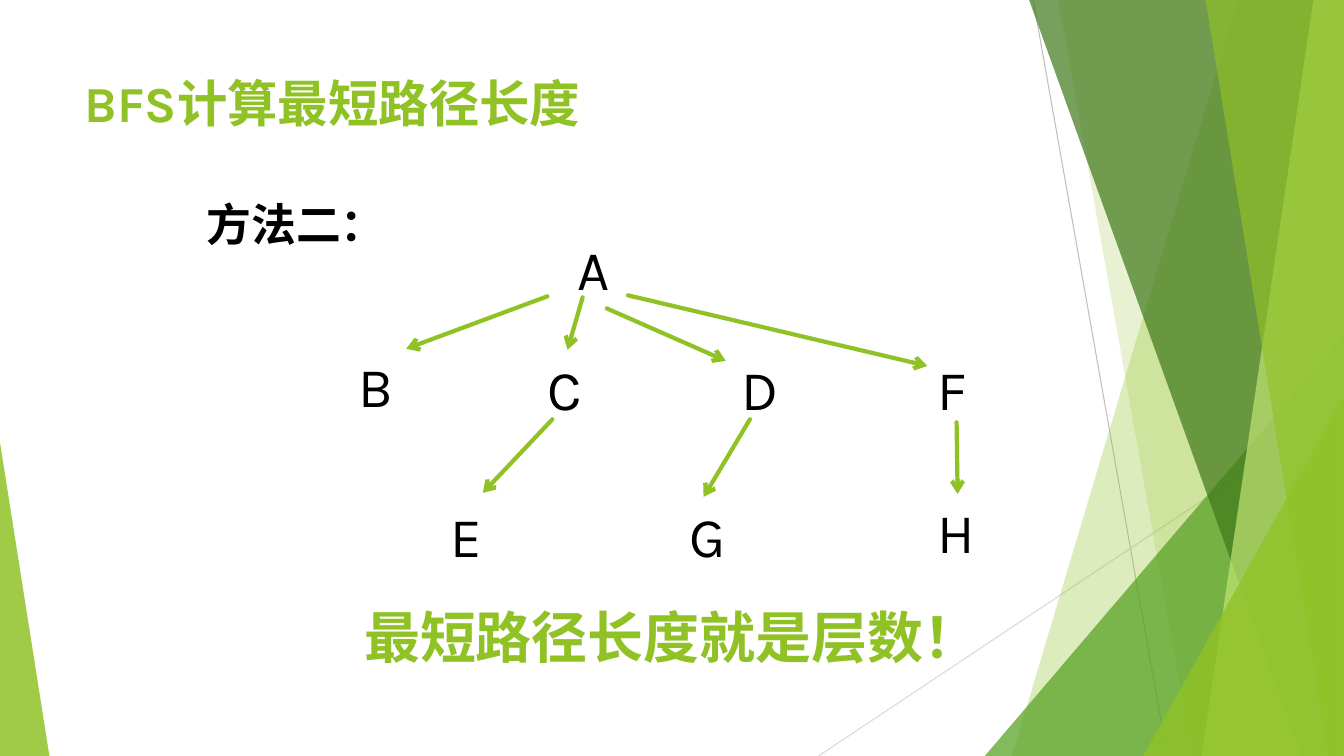
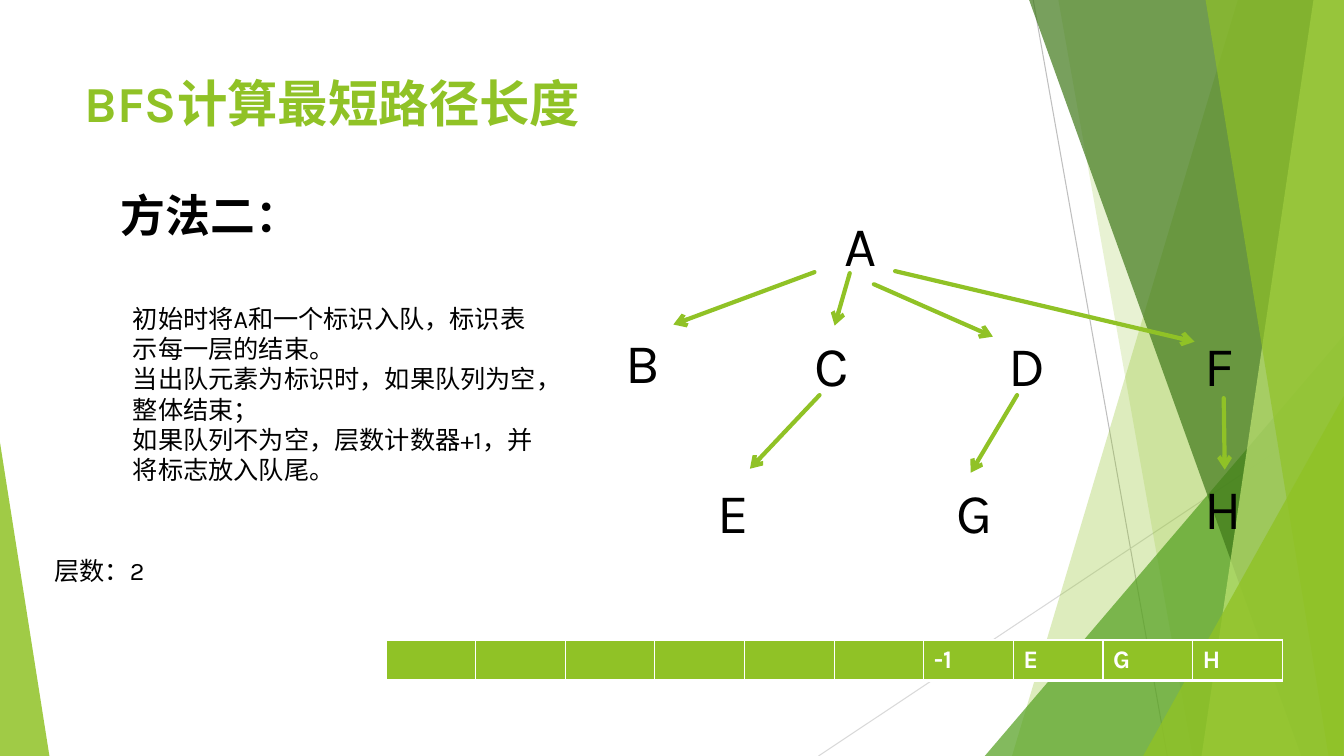
from dataclasses import dataclass
from typing import NamedTuple, Optional

import lxml.etree
import pptx
import pptx.dml.color
import pptx.enum.lang
import pptx.enum.shapes
import pptx.enum.text
import pptx.oxml.ns
import pptx.shapes.connector
import pptx.slide
import pptx.table
import pptx.text.text
import pptx.util

# The grid has cells of a tenth of an inch
COLUMNS, ROWS = 133.33, 75
TITLE_ONLY = 5


@dataclass(frozen=True)
class Theme:
    """Colours, fonts and type sizes of the deck."""
    green: str = "90C226"
    mid_green: str = "54A021"
    dark_green: str = "3F7819"
    pale_green: str = "C0E474"
    gray: str = "BFBFBF"
    light_gray: str = "D9D9D9"
    black: str = "000000"
    white: str = "FFFFFF"
    latin: str = "Karla"
    chinese: str = "Noto Sans CJK SC"
    title: int = 36
    heading: int = 32
    display: int = 40
    body: int = 18
    hairline: float = 0.75
    arrow: int = 3


THEME = Theme()


class Area(NamedTuple):
    left: float
    top: float
    width: float
    height: float


class Style(NamedTuple):
    size: int
    color: str = THEME.black
    font: str = THEME.latin
    bold: bool = False
    align: pptx.enum.text.PP_ALIGN = pptx.enum.text.PP_ALIGN.LEFT


class Facet(NamedTuple):
    """A polygon that reaches the right edge of the slide."""
    top_left: float
    bottom_left: float
    color: str
    opacity: int


class Wedge(NamedTuple):
    """A right triangle that stands on the bottom edge; apex 0 is left, 1 is right."""
    left: float
    top: float
    width: float
    apex: int
    color: str
    opacity: int


class Node(NamedTuple):
    letter: str
    left: float
    top: float


class Segment(NamedTuple):
    x1: float
    y1: float
    x2: float
    y2: float


TITLE_STYLE = Style(THEME.title, THEME.green, bold=True)
HEADING_STYLE = Style(THEME.heading, font=THEME.chinese, bold=True)
NODE_STYLE = Style(THEME.display)
BODY_STYLE = Style(THEME.body)
CELL_STYLE = Style(THEME.body, THEME.white, bold=True)
CONCLUSION_STYLE = Style(THEME.display, THEME.green, THEME.chinese, True,
                         pptx.enum.text.PP_ALIGN.CENTER)

TITLE = "BFS计算最短路径长度"
HEADING = "方法二："
TITLE_AREA = Area(7.4, 6.7, 94, 14.4)

# Backdrop, from back to front
BACKDROP_LINES = (
    (Segment(102.5, 0, 115.8, ROWS), THEME.gray),
    (Segment(COLUMNS, 40.3, 81.2, ROWS), THEME.light_gray),
)
BACKDROP_PARTS = (
    Facet(122.8, 100.4, THEME.green, 30),
    Facet(105, 118.3, THEME.green, 20),
    Wedge(97.7, 33.3, 35.6, 1, THEME.mid_green, 72),
    Facet(102.1, 129.1, THEME.dark_green, 70),
    Facet(130.3, 119.2, THEME.pale_green, 70),
    Facet(119.6, 131.8, THEME.green, 65),
    Wedge(113.4, 39.3, 19.9, 1, THEME.green, 80),
    Wedge(0, 43.9, 4.9, 0, THEME.green, 85),
)

# Tree, measured from the box of its root
NODE_WIDTH, NODE_HEIGHT = 6, 7.7
NODES = (
    Node("A", 0, 0),
    Node("B", -21.7, 11.6), Node("C", -3, 11.9),
    Node("D", 16.3, 11.9), Node("F", 35.7, 11.9),
    Node("E", -12.6, 26.5), Node("G", 11.1, 26.5), Node("H", 35.7, 26.1),
)
EDGES = (
    Segment(-2, 6.6, -16, 11.8),
    Segment(6, 6.5, 35.7, 13.5),
    Segment(1.5, 6.7, 0, 11.9),
    Segment(3.9, 7.8, 15.7, 13),
    Segment(-1.5, 18.8, -8.4, 26.1),
    Segment(18.1, 18.8, 13.5, 26.5),
    Segment(38.6, 19.1, 38.7, 26.2),
)

EXPLANATION = (
    "初始时将A和一个标识入队，标识表示每一层的结束。",
    "当出队元素为标识时，如果队列为空，整体结束；",
    "如果队列不为空，层数计数器+1，并将标志放入队尾。",
)
QUEUE = ("",) * 6 + ("-1", "E", "G", "H")


def cells(count: float) -> pptx.util.Emu:
    return pptx.util.Emu(round(count * pptx.util.Inches(0.1)))


def rgb(color: str) -> pptx.dml.color.RGBColor:
    return pptx.dml.color.RGBColor.from_string(color)


def add_child(parent: lxml.etree.ElementBase, tag: str,
              **attributes: str) -> lxml.etree.ElementBase:
    return lxml.etree.SubElement(parent, pptx.oxml.ns.qn(tag), attributes)


def write(frame: pptx.text.text.TextFrame, style: Style, *lines: str) -> None:
    """Fill a text frame with one paragraph a line."""
    for index, line in enumerate(lines):
        para = frame.add_paragraph() if index else frame.paragraphs[0]
        para.text = line
        para.alignment = style.align
        font = para.font
        font.name, font.bold = style.font, style.bold
        font.size = pptx.util.Pt(style.size)
        font.color.rgb = rgb(style.color)
        font.language_id = pptx.enum.lang.MSO_LANGUAGE_ID.SIMPLIFIED_CHINESE


def add_text(page: pptx.slide.Slide, area: Area, style: Style, *lines: str) -> None:
    box = page.shapes.add_textbox(*map(cells, area))
    box.text_frame.word_wrap = True
    write(box.text_frame, style, *lines)


def add_line(page: pptx.slide.Slide, segment: Segment, color: str, width: float,
             head: Optional[str] = None) -> pptx.shapes.connector.Connector:
    line = page.shapes.add_connector(
        pptx.enum.shapes.MSO_CONNECTOR.STRAIGHT, *map(cells, segment))
    line.line.color.rgb = rgb(color)
    line.line.width = pptx.util.Pt(width)
    if head:
        outline = line.element.xpath(".//a:ln")[0]
        outline.set("cap", "rnd")
        add_child(outline, "a:round")
        add_child(outline, "a:tailEnd", type=head)
    add_child(line.element.spPr, "a:effectLst")
    return line


def add_backdrop_part(page: pptx.slide.Slide, part: Facet | Wedge) -> None:
    if isinstance(part, Facet):
        builder = page.shapes.build_freeform(cells(part.top_left), 0)
        builder.add_line_segments([
            (cells(COLUMNS), 0), (cells(COLUMNS), cells(ROWS)),
            (cells(part.bottom_left), cells(ROWS))])
        shape = builder.convert_to_shape()
    else:
        shape = page.shapes.add_shape(
            pptx.enum.shapes.MSO_SHAPE.ISOSCELES_TRIANGLE, cells(part.left),
            cells(part.top), cells(part.width), cells(ROWS - part.top))
        shape.adjustments[0] = part.apex
    shape.shadow.inherit = False
    shape.fill.solid()
    shape.fill.fore_color.rgb = rgb(part.color)
    tint = shape.element.xpath("./p:spPr/a:solidFill/a:srgbClr")[0]
    add_child(tint, "a:alpha", val=str(part.opacity * 1000))
    shape.line.fill.background()


def add_backdrop(page: pptx.slide.Slide) -> None:
    """Draw the backdrop and hand it to the layout, behind its placeholders."""
    for segment, color in BACKDROP_LINES:
        add_line(page, segment, color, THEME.hairline)
    for part in BACKDROP_PARTS:
        add_backdrop_part(page, part)
    tree = page.slide_layout.shapes.element
    drawn = [shape for shape in page.shapes if not shape.is_placeholder]
    for index, shape in enumerate(drawn):
        shape.element.xpath(".//p:cNvPr")[0].set("id", str(100 + index))
        tree.insert(2 + index, shape.element)


def add_page(deck: pptx.presentation.Presentation) -> pptx.slide.Slide:
    page = deck.slides.add_slide(deck.slide_layouts[TITLE_ONLY])
    title = page.shapes.title
    title.left, title.top, title.width, title.height = map(cells, TITLE_AREA)
    frame = title.text_frame
    frame.vertical_anchor = pptx.enum.text.MSO_ANCHOR.TOP
    frame.auto_size = pptx.enum.text.MSO_AUTO_SIZE.NONE
    write(frame, TITLE_STYLE, TITLE)
    return page


def add_tree(page: pptx.slide.Slide, left: float, top: float) -> None:
    for node in NODES:
        area = Area(left + node.left, top + node.top, NODE_WIDTH, NODE_HEIGHT)
        add_text(page, area, NODE_STYLE, node.letter)
    for edge in EDGES:
        placed = Segment(left + edge.x1, top + edge.y1, left + edge.x2, top + edge.y2)
        add_line(page, placed, THEME.green, THEME.arrow, "arrow")


def add_border(cell: pptx.table._Cell, side: str, width: float) -> None:
    border = add_child(cell._tc.get_or_add_tcPr(), f"a:ln{side}",
                       w=str(pptx.util.Pt(width)))
    add_child(add_child(border, "a:solidFill"), "a:srgbClr", val=THEME.white)


def add_queue(page: pptx.slide.Slide, area: Area) -> None:
    table = page.shapes.add_table(1, len(QUEUE), *map(cells, area)).table
    table.first_row = table.horz_banding = False
    for column, (cell, value) in enumerate(zip(table.rows[0].cells, QUEUE)):
        table.columns[column].width = cells(area.width / len(QUEUE))
        for side, width in (("L", 1), ("R", 1), ("T", 1), ("B", 3)):
            add_border(cell, side, width)
        cell.fill.solid()
        cell.fill.fore_color.rgb = rgb(THEME.green)
        write(cell.text_frame, CELL_STYLE, value)


def main() -> None:
    deck = pptx.Presentation()
    deck.slide_width, deck.slide_height = cells(COLUMNS), cells(ROWS)

    # The tree and the conclusion
    overview = add_page(deck)
    add_backdrop(overview)
    add_text(overview, Area(19.5, 19, 47.2, 6.4), HEADING_STYLE, HEADING)
    add_tree(overview, 56.3, 22.8)
    add_text(overview, Area(23, 59.3, 87.3, 7.7), CONCLUSION_STYLE,
             "最短路径长度就是层数！")

    # The queue with level markers
    steps = add_page(deck)
    add_text(steps, Area(11, 18.1, 47.2, 6.4), HEADING_STYLE, HEADING)
    add_tree(steps, 82.8, 20.4)
    add_text(steps, Area(12.2, 29.6, 42.2, 19.2), BODY_STYLE, *EXPLANATION)
    add_queue(steps, Area(38.3, 63.5, 88.9, 4))
    add_text(steps, Area(4.4, 54.6, 14.8, 4), BODY_STYLE, "层数：2")

    deck.save("out.pptx")


if __name__ == "__main__":
    main()
